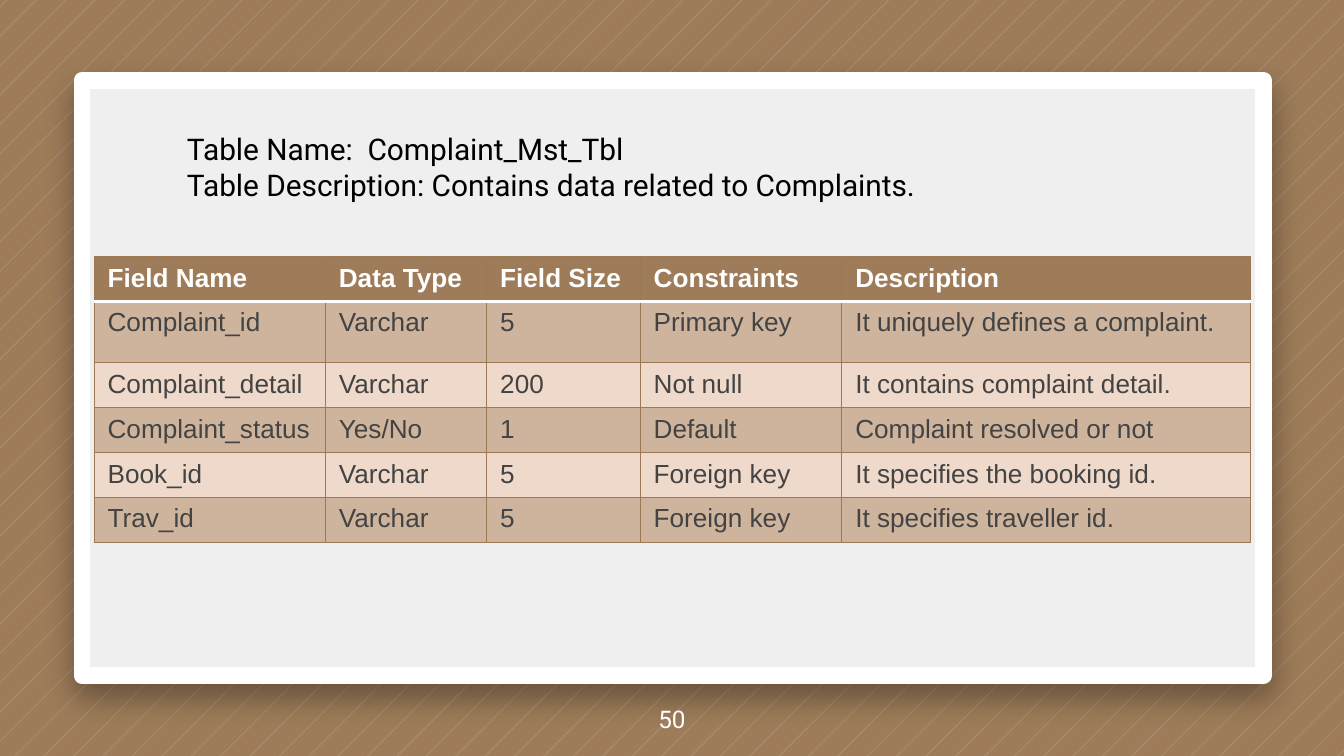
from lxml import etree
from pptx import Presentation
from pptx import util as u
from pptx.dml.color import RGBColor
from pptx.enum import shapes, text
from pptx.oxml import parse_xml
from pptx.oxml.ns import nsdecls, qn

WIDE, HIGH = 25.4, 14.29
HUES = {
    "brown": "9E7C59",
    "edge": "9C7955",
    "dark": "CEB49D",
    "pale": "EED9CA",
    "panel": "EFEFEF",
    "white": "FFFFFF",
    "grey": "434343",
    "black": "000000",
}
COLS = [4.37, 3.05, 2.9, 3.81, 7.72]
TALL = [0.82, 1.16, 0.83, 0.83, 0.83, 0.83]
ROWS = [
    ["Field Name", "Data Type", "Field Size", "Constraints", "Description"],
    ["Complaint_id", "Varchar", "5", "Primary key", "It uniquely defines a complaint."],
    ["Complaint_detail", "Varchar", "200", "Not null", "It contains complaint detail."],
    ["Complaint_status", "Yes/No", "1", "Default", "Complaint resolved or not"],
    ["Book_id", "Varchar", "5", "Foreign key", "It specifies the booking id."],
    ["Trav_id", "Varchar", "5", "Foreign key", "It specifies traveller id."],
]


def hue(name):
    return RGBColor.from_string(HUES[name])


def place(box):
    return [u.Cm(side) for side in box]


def write(frame, words, font="Arial", size=14, color="grey", bold=False,
          align=text.PP_ALIGN.LEFT, anchor=text.MSO_ANCHOR.TOP):
    frame.word_wrap = True
    frame.vertical_anchor = anchor
    frame.text = words
    for para in frame.paragraphs:
        para.alignment = align
        para.line_spacing = 1.0
        para.space_before = u.Pt(0)
        for run in para.runs:
            run.font.name = font
            run.font.size = u.Pt(size)
            run.font.bold = bold
            run.font.color.rgb = hue(color)


def stripes(slide, box):
    left, top, wide, high = box
    step = wide * 7 / 320
    thick = step / 16

    def ends(total):
        upper = (left + min(total, wide), top + max(0, total - wide))
        lower = (left + max(0, total - high), top + min(total, high))
        return [tuple(place(upper)), tuple(place(lower))]

    pen = None
    for count in range(72):
        near = (count + 0.2) * step
        first, second = ends(near)
        fourth, third = ends(near + thick)
        if pen is None:
            pen = slide.shapes.build_freeform(*first, scale=1.0)
        else:
            pen.move_to(*first)
        pen.add_line_segments([second, third, fourth], close=True)
    lines = pen.convert_to_shape()
    lines.shadow.inherit = False
    lines.line.fill.background()
    lines.fill.solid()
    lines.fill.fore_color.rgb = hue("white")
    tint = lines._element.spPr.find(".//" + qn("a:srgbClr"))
    etree.SubElement(tint, qn("a:alpha"), val="10000")


def panel(slide, box):
    card = slide.shapes.add_shape(shapes.MSO_SHAPE.RECTANGLE, *place(box))
    card.fill.solid()
    card.fill.fore_color.rgb = hue("panel")
    card.line.color.rgb = hue("white")
    card.line.width = u.Pt(9)
    card._element.spPr.append(parse_xml(
        f'<a:effectLst {nsdecls("a")}><a:outerShdw blurRad="214630" dist="95250" '
        f'dir="5400000" algn="t" rotWithShape="0"><a:srgbClr val="{HUES["black"]}">'
        '<a:alpha val="35000"/></a:srgbClr></a:outerShdw></a:effectLst>'))


def number(slide, box):
    note = slide.shapes.add_textbox(*place(box))
    write(note.text_frame, "50", font="Roboto", size=13, color="white",
          align=text.PP_ALIGN.CENTER, anchor=text.MSO_ANCHOR.MIDDLE)


def border(cell, side, color, width):
    cell._tc.get_or_add_tcPr().append(parse_xml(
        f'<a:{side} {nsdecls("a")} w="{u.Pt(width)}"><a:solidFill>'
        f'<a:srgbClr val="{HUES[color]}"/></a:solidFill></a:{side}>'))


def fields(slide, box):
    grid = slide.shapes.add_table(len(ROWS), len(COLS), *place(box)).table
    grid.horz_banding = False
    for col, wide in zip(grid.columns, COLS):
        col.width = u.Cm(wide)
    for row, high in zip(grid.rows, TALL):
        row.height = u.Cm(high)
    for r, line in enumerate(ROWS):
        head = r == 0
        fill = "brown" if head else "dark" if r % 2 else "pale"
        for c, words in enumerate(line):
            cell = grid.cell(r, c)
            write(cell.text_frame, words, color="white" if head else "grey", bold=head)
            for side in ("lnL", "lnR", "lnT", "lnB"):
                rule = (r, side) in ((0, "lnB"), (1, "lnT"))
                border(cell, side, *(("white", 2) if rule else ("edge", 0.75)))
            cell.fill.solid()
            cell.fill.fore_color.rgb = hue(fill)


def heading(slide, box):
    title = slide.shapes.title
    title.left, title.top, title.width, title.height = place(box)
    write(title.text_frame, "Table Name:  Complaint_Mst_Tbl\n"
          "Table Description: Contains data related to Complaints.",
          font="Roboto", size=16, color="black")
    title.text_frame.auto_size = text.MSO_AUTO_SIZE.SHAPE_TO_FIT_TEXT
    title._element.getparent().append(title._element)


def main():
    deck = Presentation()
    deck.slide_width, deck.slide_height = place((WIDE, HIGH))
    slide = deck.slides.add_slide(deck.slide_layouts[5])
    slide.background.fill.solid()
    slide.background.fill.fore_color.rgb = hue("brown")
    stripes(slide, (0, 0, WIDE, HIGH))
    panel(slide, (1.55, 1.52, 22.33, 11.25))
    number(slide, (0, 12.9, WIDE, 1.37))
    fields(slide, (1.78, 4.85, sum(COLS), sum(TALL)))
    heading(slide, (3.28, 2.34, 18.87, 1.63))
    deck.save("out.pptx")


if __name__ == "__main__":
    main()
